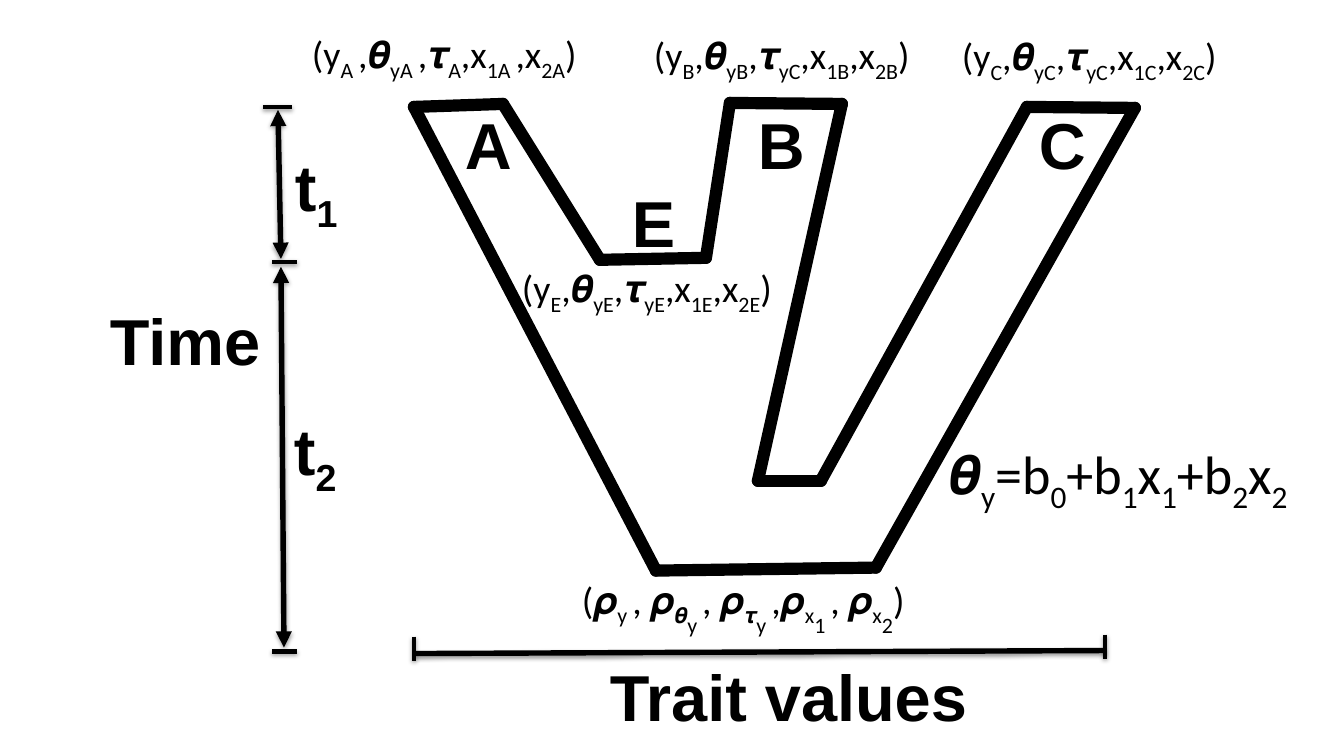
from lxml.etree import SubElement
from pptx import Presentation
from pptx.dml.color import RGBColor
from pptx.enum.shapes import MSO_CONNECTOR
from pptx.oxml.ns import qn
from pptx.util import Inches, Pt

PIXEL = Inches(1) / 97.4
INK = "000000"

TREE = [
    (414, 107), (503, 104), (600, 260), (706, 258), (730, 103), (842, 104),
    (758, 481), (821, 481), (1027, 107), (1135, 108), (876, 568), (656, 571),
]
TIME_ARROWS = [(281, 267, 284, 648), (278, 110, 281, 259)]
TIME_TICKS = [(263, 107, 292, 107), (272, 262, 297, 262), (272, 652, 297, 652)]
TRAIT_AXIS = (414, 654, 1105, 651)
TRAIT_TICKS = [(414, 637, 414, 661), (1105, 635, 1105, 659)]

HEADINGS = [
    ("A", 465, 105, 60), ("B", 758, 105, 60), ("C", 1039, 105, 60),
    ("E", 632, 183, 60), ("t{1}", 295, 147, 60), ("t{2}", 294, 411, 60),
    ("Time", 110, 301, 160), ("Trait values", 610, 657, 370),
]
TRAITS = [
    ("(y{A },𝜽{yA },𝝉{A},x{1A },x{2A})", 312, 31, 300),
    ("(y{B},𝜽{yB},𝝉{yC},x{1B},x{2B})", 654, 32, 300),
    ("(y{C},𝜽{yC},𝝉{yC},x{1C},x{2C})", 962, 33, 300),
    ("(y{E},𝜽{yE},𝝉{yE},x{1E},x{2E})", 522, 265, 300),
    ("(𝝆{y }, 𝝆{𝜽{y }, 𝝆{𝝉{y },𝝆{x{1 }, 𝝆{x{2})", 582, 577, 370),
]
EQUATION = ("𝜽{y}=b{0}+b{1}x{1}+b{2}x{2}", 949, 441, 391)
BASELINES = ["0", "-25000", "-50000"]


def px(length):
    return round(length * PIXEL)


def color(value):
    return RGBColor.from_string(value)


def add_line(ends, width, arrows=False, shadow=True, cap="flat"):
    line = page.shapes.add_connector(MSO_CONNECTOR.STRAIGHT, *map(px, ends))
    line.line.color.rgb = color(INK)
    line.line.width = Pt(width)
    outline = line.line._get_or_add_ln()
    outline.set("cap", cap)
    if arrows:
        for end in ("a:headEnd", "a:tailEnd"):
            SubElement(outline, qn(end), type="triangle")
    effects = SubElement(line._element.spPr, qn("a:effectLst"))
    if shadow:
        cast = SubElement(effects, qn("a:outerShdw"), blurRad="40000",
                          dist="20000", dir="5400000", rotWithShape="0")
        shade = SubElement(cast, qn("a:srgbClr"), val=INK)
        SubElement(shade, qn("a:alpha"), val="38000")


def add_label(label, size, font, bold=False):
    text, left, top, width = label
    box = page.shapes.add_textbox(px(left), px(top), px(width), Pt(size * 1.2))
    frame = box.text_frame
    frame.word_wrap = True
    frame.margin_left = frame.margin_right = 0
    frame.margin_top = frame.margin_bottom = 0
    para = frame.paragraphs[0]
    for chunk in text.split("}"):
        for depth, piece in enumerate(chunk.split("{")):
            if piece:
                span = para.add_run()
                span.text = piece
                span.font.size = Pt(size)
                span.font.name = font
                span.font.bold = bold
                span.font.color.rgb = color(INK)
                span.font._element.set("baseline", BASELINES[depth])


deck = Presentation()
deck.slide_width, deck.slide_height = Inches(13.8), Inches(7.5)
page = deck.slides.add_slide(deck.slide_layouts[6])

for tick in TIME_TICKS + TRAIT_TICKS:
    add_line(tick, 3)
for arrow in TIME_ARROWS:
    add_line(arrow, 4, arrows=True)
add_line(TRAIT_AXIS, 4)
for start, end in zip(TREE, TREE[1:] + TREE[:1]):
    add_line(start + end, 9, shadow=False, cap="rnd")

for heading in HEADINGS:
    add_label(heading, 48, "Arial", bold=True)
for trait in TRAITS:
    add_label(trait, 28, "Calibri")
add_label(EQUATION, 40, "Calibri")

deck.save("out.pptx")
